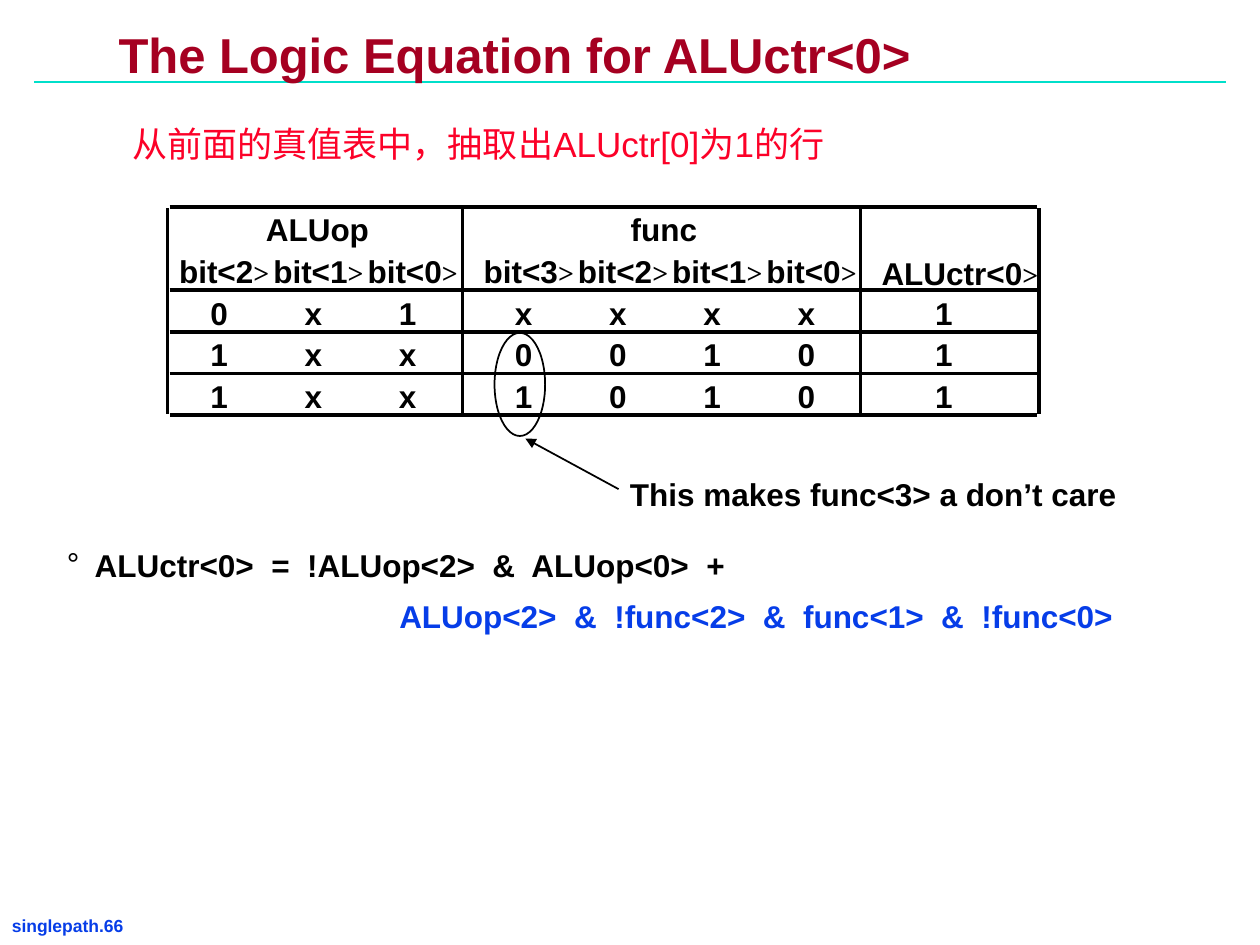
from lxml import etree
from pptx import Presentation
from pptx.dml.color import RGBColor
from pptx.enum.shapes import MSO_CONNECTOR, MSO_SHAPE
from pptx.enum.text import MSO_ANCHOR, PP_ALIGN
from pptx.oxml.ns import qn
from pptx.util import Cm, Pt

STRAIGHT = MSO_CONNECTOR.STRAIGHT
OVAL = MSO_SHAPE.OVAL
BOTTOM, TOP = MSO_ANCHOR.BOTTOM, MSO_ANCHOR.TOP
LEFT, CENTER = PP_ALIGN.LEFT, PP_ALIGN.CENTER

BLACK, BLUE, MAROON, RED, TEAL = "000000", "063DE8", "A50021", "FC0128", "00DFCA"
PLAIN_STYLE = "{2D5ABB26-0587-4C30-8999-92F81FD0307C}"

TITLE = "The Logic Equation for ALUctr<0>"
INTRO = "从前面的真值表中，抽取出ALUctr[0]为1的行"
CALLOUT = "This makes func<3> a don’t care"
FOOTER = "singlepath.66"
EQUATION = [
    ("ALUctr<0>  =  !ALUop<2>  &  ALUop<0>  +", BLACK),
    ("ALUop<2>  &  !func<2>  &  func<1>  &  !func<0>", BLUE),
]

GROUPS = [("ALUop", 0, 2), ("func", 3, 6)]
BITS = ["bit<2", "bit<1", "bit<0", "bit<3", "bit<2", "bit<1", "bit<0"]
RESULT = "ALUctr<0"
VALUES = ["0x1xxxx1", "1xx00101", "1xx10101"]

TABLE_LEFT, TABLE_TOP, ROW_HEIGHT = 3.38, 4.25, 0.84
WIDTHS = [2.09, 1.9, 1.95, 2.27, 1.9, 1.9, 1.96, 3.6]
LABEL_INSETS = [0.23, 0.04, 0.04, 0.43, 0.06, 0.06, 0.06, 0.42]
BIT_SHIFT, RESULT_SHIFT = 0.63, 1.08
CELL_MARGIN = 0.04
RULE_TOP = 4.17
RULED_ROWS = (0, 2, 3, 4, 5)
RULED_COLUMNS = (0, 3, 7, 8)


def color(value):
    return RGBColor.from_string(value)


def add_span(para, text, size=18, ink=BLACK, bold=True, font="Arial"):
    span = para.add_run()
    span.text = text
    span.font.name = font
    span.font.size = Pt(size)
    span.font.bold = bold
    span.font.color.rgb = color(ink)


def add_text(page, text, left, top, width, height, inset=(0.25, 0.13), spacing=None, **look):
    box = page.shapes.add_textbox(Cm(left), Cm(top), Cm(width), Cm(height))
    frame = box.text_frame
    frame.word_wrap = True
    frame.margin_left = frame.margin_right = Cm(inset[0])
    frame.margin_top = frame.margin_bottom = Cm(inset[1])
    para = frame.paragraphs[0]
    if spacing:
        para.line_spacing = spacing
    add_span(para, text, **look)
    return frame


def add_line(page, start, end, ink, width, arrow=False):
    line = page.shapes.add_connector(STRAIGHT, *map(Cm, start + end))
    line.line.color.rgb = color(ink)
    line.line.width = Pt(width)
    if arrow:
        etree.SubElement(line.line._get_or_add_ln(), qn("a:headEnd"), type="triangle")
    etree.SubElement(line._element.spPr, qn("a:effectLst"))


def set_indent(para, left, hanging=0, bullet=None):
    props = para._p.get_or_add_pPr()
    props.set("marL", str(Cm(left)))
    props.set("indent", str(-Cm(hanging)))
    if bullet:
        ink = etree.SubElement(props, qn("a:buClr"))
        etree.SubElement(ink, qn("a:srgbClr"), val=BLACK)
        etree.SubElement(props, qn("a:buFont"), typeface="Arial")
        etree.SubElement(props, qn("a:buChar"), char=bullet)


def fill_cell(cell, text, inset=0, align=LEFT, mark="", anchor=TOP):
    cell.margin_left = Cm(inset)
    cell.vertical_anchor = anchor
    para = cell.text_frame.paragraphs[0]
    para.alignment = align
    add_span(para, text)
    if mark:
        add_span(para, mark, size=16, font="Times New Roman")


def add_truth_table(page):
    rows, columns = len(VALUES) + 2, len(WIDTHS)
    frame = page.shapes.add_table(rows, columns, Cm(TABLE_LEFT), Cm(TABLE_TOP),
                                  Cm(sum(WIDTHS)), Cm(rows * ROW_HEIGHT))
    table = frame.table
    table.first_row = table.horz_banding = False
    table._tbl.tblPr.find(qn("a:tableStyleId")).text = PLAIN_STYLE
    for column, width in zip(table.columns, WIDTHS):
        column.width = Cm(width)
    for row in table.rows:
        row.height = Cm(ROW_HEIGHT)
        for cell in row.cells:
            cell.margin_left = cell.margin_right = 0
            cell.margin_top = cell.margin_bottom = Cm(CELL_MARGIN)
            cell.fill.background()

    for name, first, last in GROUPS:
        table.cell(0, first).merge(table.cell(0, last))
        fill_cell(table.cell(0, first), name, inset=0.1, align=CENTER)
    for c, bit in enumerate(BITS):
        fill_cell(table.cell(1, c), bit, LABEL_INSETS[c], mark=">")
    result = columns - 1
    table.cell(0, result).merge(table.cell(1, result))
    fill_cell(table.cell(0, result), RESULT, LABEL_INSETS[result], mark=">", anchor=BOTTOM)
    for r, values in enumerate(VALUES, 2):
        for c, value in enumerate(values):
            shift = RESULT_SHIFT if c == result else BIT_SHIFT
            fill_cell(table.cell(r, c), value, LABEL_INSETS[c] + shift)


def add_rules(page):
    right = TABLE_LEFT + sum(WIDTHS)
    bottom = RULE_TOP + (len(VALUES) + 2) * ROW_HEIGHT
    for row in RULED_ROWS:
        y = RULE_TOP + row * ROW_HEIGHT
        add_line(page, (TABLE_LEFT + 0.04, y), (right - 0.04, y), BLACK, 2)
    for column in RULED_COLUMNS:
        x = TABLE_LEFT + sum(WIDTHS[:column])
        add_line(page, (x, RULE_TOP + 0.03), (x, bottom - 0.03), BLACK, 2)


def main():
    deck = Presentation()
    deck.slide_width, deck.slide_height = Cm(25.4), Cm(19.05)
    page = deck.slides.add_slide(deck.slide_layouts[6])
    narrow = (0.18, 0.08)

    add_text(page, FOOTER, 0.06, 18.36, 3.91, 0.56, inset=narrow, size=10, ink=BLUE)
    add_line(page, (0.69, 1.65), (24.71, 1.65), TEAL, 1.5)
    add_text(page, TITLE, 2.21, 0.58, 16.8, 1.17, inset=narrow, spacing=0.87, size=28, ink=MAROON)
    add_text(page, INTRO, 2.42, 2.34, 16.56, 1.12, size=20, ink=RED, bold=False)

    (first, ink), (second, second_ink) = EQUATION
    frame = add_text(page, first, 1.17, 10.92, 22.76, 1.96, inset=narrow, ink=ink)
    set_indent(frame.paragraphs[0], 0.56, hanging=0.56, bullet="°")
    para = frame.add_paragraph()
    set_indent(para, 6.7)
    para.space_before = Pt(7.9)
    add_span(para, second, ink=second_ink)

    add_truth_table(page)
    add_rules(page)

    ring = page.shapes.add_shape(OVAL, Cm(9.97), Cm(6.71), Cm(1.02), Cm(2.08))
    ring.shadow.inherit = False
    ring.fill.background()
    ring.line.color.rgb = color(BLACK)
    ring.line.width = Pt(1)
    add_line(page, (10.59, 8.84), (12.47, 9.86), BLACK, 1, arrow=True)
    add_text(page, CALLOUT, 12.45, 9.45, 10.6, 1.02)

    deck.save("out.pptx")


if __name__ == "__main__":
    main()
